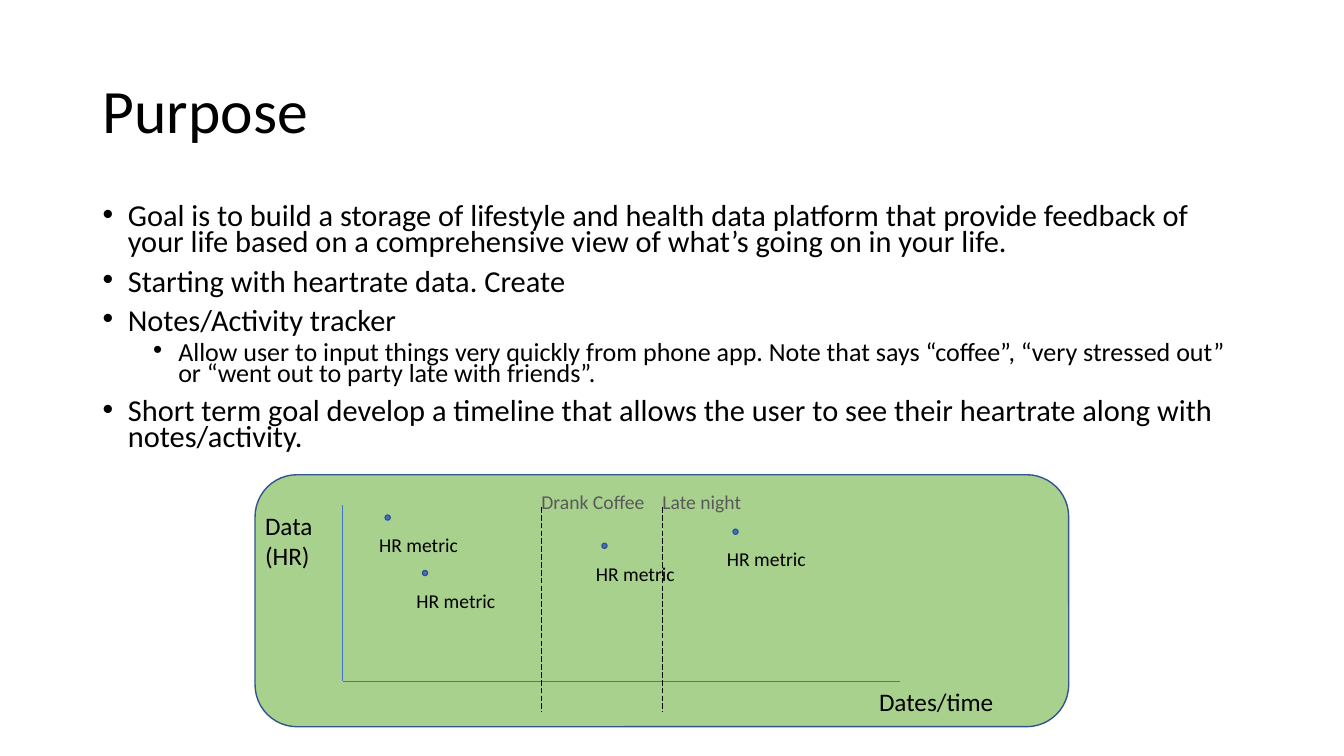
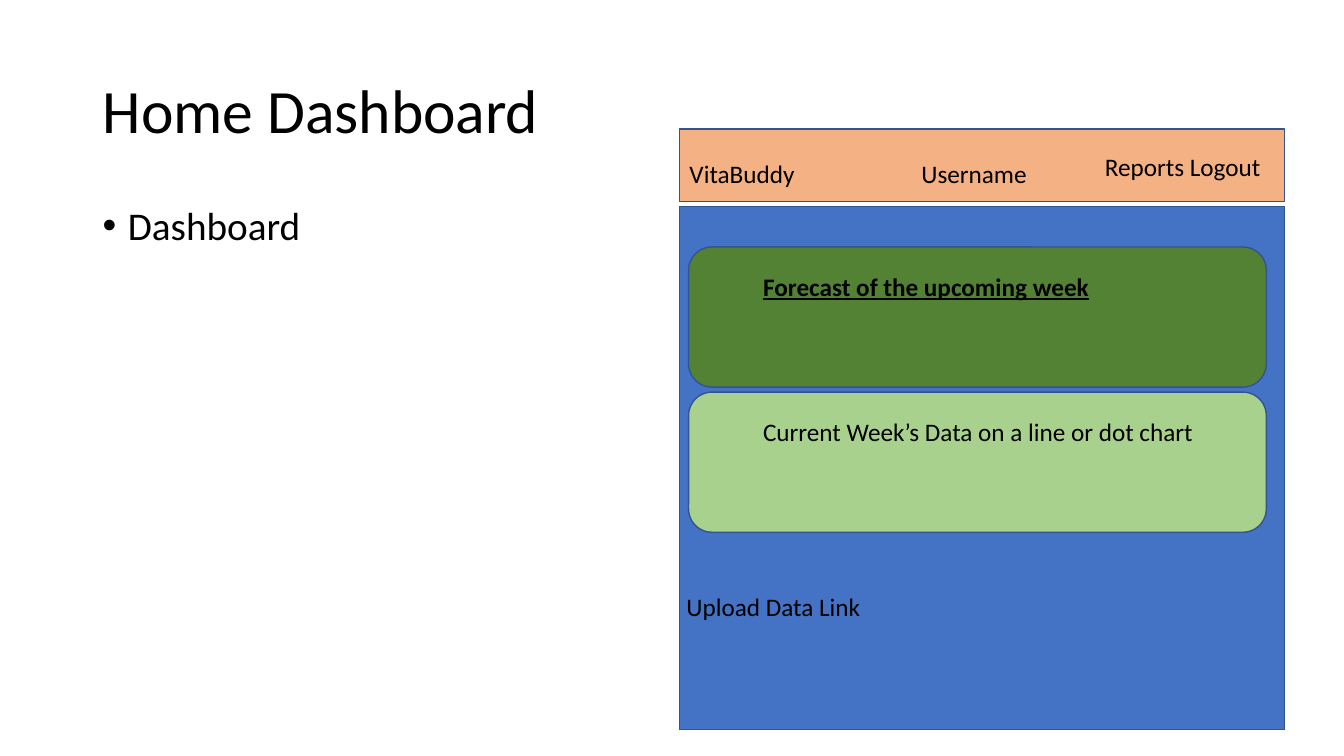
from collections import namedtuple
from dataclasses import dataclass

from lxml import etree
from pptx import Presentation
from pptx.dml.color import RGBColor
from pptx.enum.dml import MSO_LINE
from pptx.enum.shapes import MSO_CONNECTOR, MSO_SHAPE
from pptx.enum.text import MSO_ANCHOR, MSO_AUTO_SIZE, PP_ALIGN
from pptx.oxml.ns import qn
from pptx.util import Inches, Pt

RECTANGLE = MSO_SHAPE.RECTANGLE
ROUNDED = MSO_SHAPE.ROUNDED_RECTANGLE
OVAL = MSO_SHAPE.OVAL
STRAIGHT = MSO_CONNECTOR.STRAIGHT
LONG_DASH = MSO_LINE.LONG_DASH
MIDDLE = MSO_ANCHOR.MIDDLE
TOP = MSO_ANCHOR.TOP
LEFT = PP_ALIGN.LEFT
FIT_SHAPE = MSO_AUTO_SIZE.SHAPE_TO_FIT_TEXT
NO_FIT = MSO_AUTO_SIZE.NONE


@dataclass(frozen=True)
class Theme:
    font: str = "Calibri"
    ink: str = "000000"
    muted: str = "595959"
    blue: str = "4472C4"
    outline: str = "325491"
    orange: str = "F4B183"
    dark_green: str = "548235"
    light_green: str = "A9D18E"
    title_size: float = 44
    bullet_size: float = 28
    label_size: float = 18
    small_size: float = 14
    outline_width: float = 1
    thin_width: float = 0.5


THEME = Theme()
Box = namedtuple("Box", "left top width height")
Bullet = namedtuple("Bullet", "text level size", defaults=(0, THEME.bullet_size))

TITLE_BOX = Box(0.92, 0.4, 11.5, 1.45)
CARD_FORMATS = (
    ("Forecast of the upcoming week", THEME.dark_green, 4.43, {"bold": True, "underline": True}),
    ("Current Week’s Data on a line or dot chart", THEME.light_green, 4.73, {}),
)


def apply_format(target, values):
    for name, value in values.items():
        setattr(target, name, value)


def inside(box, left, top, width, height):
    return Box(box.left + left, box.top + top, width, height)


def to_lengths(box):
    return [Inches(value) for value in box]


def add_span(para, text, size, color=THEME.ink, **extra):
    span = para.add_run()
    span.text = text
    apply_format(span.font, {"name": THEME.font, "size": Pt(size), **extra})
    span.font.color.rgb = RGBColor.from_string(color)


def add_frame(page, box, **frame_format):
    frame = page.shapes.add_textbox(*to_lengths(box)).text_frame
    apply_format(frame, {"word_wrap": True, "auto_size": NO_FIT, "vertical_anchor": TOP, **frame_format})
    return frame


def add_label(page, box, text, **extra):
    frame = add_frame(page, box, auto_size=FIT_SHAPE)
    add_span(frame.paragraphs[0], text, THEME.label_size, **extra)


def add_small_label(page, box, text, color=THEME.ink):
    margins = {f"margin_{side}": 0 for side in ("left", "top", "right", "bottom")}
    frame = add_frame(page, box, auto_size=FIT_SHAPE, **margins)
    add_span(frame.paragraphs[0], text, THEME.small_size, color)


def add_panel(page, kind, box, fill):
    panel = page.shapes.add_shape(kind, *to_lengths(box))
    panel.shadow.inherit = False
    panel.fill.solid()
    panel.fill.fore_color.rgb = RGBColor.from_string(fill)
    panel.line.color.rgb = RGBColor.from_string(THEME.outline)
    panel.line.width = Pt(THEME.outline_width)


def add_line(page, box, color, dash=None):
    line = page.shapes.add_connector(
        STRAIGHT,
        Inches(box.left),
        Inches(box.top),
        Inches(box.left + box.width),
        Inches(box.top + box.height),
    )
    line.line.color.rgb = RGBColor.from_string(color)
    apply_format(line.line, {"width": Pt(THEME.thin_width), "dash_style": dash})
    etree.SubElement(line._element.spPr, qn("a:effectLst"))


def add_title(page, box, text):
    para = add_frame(page, box, vertical_anchor=MIDDLE).paragraphs[0]
    para.line_spacing = 0.9
    add_span(para, text, THEME.title_size)


def add_bullets(page, box, bullets, line_spacing):
    frame = add_frame(page, box)
    for index, bullet in enumerate(bullets):
        para = frame.add_paragraph() if index else frame.paragraphs[0]
        apply_format(para, {
            "level": bullet.level,
            "alignment": LEFT,
            "line_spacing": line_spacing,
            "space_before": Pt(5 if bullet.level else 10),
        })
        add_span(para, bullet.text, bullet.size)
        properties = para._p.get_or_add_pPr()
        properties.set("marL", str(Inches(0.25 + 0.5 * bullet.level)))
        properties.set("indent", str(Inches(-0.25)))
        etree.SubElement(properties, qn("a:buFont")).set("typeface", "Arial")
        etree.SubElement(properties, qn("a:buChar")).set("char", "•")


def add_metric(page, box):
    add_panel(page, OVAL, box, THEME.blue)
    add_small_label(page, inside(box, -0.06, 0.18, 0.9, 0.24), "HR metric")


def add_timeline(page, box):
    add_panel(page, ROUNDED, box, THEME.light_green)
    add_line(page, inside(box, 0.87, 0.3, 0, 1.75), THEME.blue)
    add_line(page, inside(box, 0.87, 2.05, 5.53, 0), THEME.blue)
    add_label(page, inside(box, 6.09, 2.05, 1.37, 0.4), "Dates/time")
    add_label(page, inside(box, 0, 0.3, 0.82, 0.71), "Data (HR)")
    for left, top in ((1.29, 0.4), (1.66, 0.95), (3.44, 0.68), (4.74, 0.54)):
        add_metric(page, inside(box, left, top, 0.05, 0.05))
    for left, activity in ((2.84, "Drank Coffee"), (4.04, "Late night")):
        add_line(page, inside(box, left, 0.32, 0, 2.03), THEME.ink, LONG_DASH)
        add_small_label(page, inside(box, left, 0.15, 1.16, 0.24), activity, THEME.muted)


def add_dashboard(page, box):
    header_height, gap = 0.72, 0.05
    body_top = header_height + gap
    add_panel(page, RECTANGLE, inside(box, 0, body_top, box.width, box.height - body_top), THEME.blue)
    add_panel(page, RECTANGLE, inside(box, 0, 0, box.width, header_height), THEME.orange)
    for left, top, width, text in (
        (0, 0.24, 1.4, "VitaBuddy"),
        (4.12, 0.17, 1.88, "Reports Logout"),
        (2.3, 0.24, 1.4, "Username"),
        (-0.03, 4.54, 3.22, "Upload Data Link"),
    ):
        add_label(page, inside(box, left, top, width, 0.4), text)
    card_height = 1.39
    for index, (text, fill, width, extra) in enumerate(CARD_FORMATS):
        card = inside(box, 0.09, 1.17 + index * (card_height + gap), 5.73, card_height)
        add_panel(page, ROUNDED, card, fill)
        add_label(page, inside(card, 0.64, 0.19, width, 0.4), text, **extra)


def build_purpose(page):
    add_title(page, TITLE_BOX, "Purpose")
    add_bullets(page, Box(0.92, 2, 11.5, 2.86), (
        Bullet("Goal is to build a storage of lifestyle and health data platform that provide feedback of "
               "your life based on a comprehensive view of what’s going on in your life.", 0, 21.7),
        Bullet("Starting with heartrate data. Create", 0, 21.7),
        Bullet("Notes/Activity tracker", 0, 21.7),
        Bullet("Allow user to input things very quickly from phone app. Note that says “coffee”, "
               "“very stressed out” or “went out to party late with friends”.", 1, 18.6),
        Bullet("Short term goal develop a timeline that allows the user to see their heartrate along with "
               "notes/activity.", 0, 21.7),
    ), 0.7)
    add_timeline(page, Box(2.53, 4.71, 8.07, 2.5))


def build_home(page):
    add_title(page, TITLE_BOX, "Home Dashboard")
    add_bullets(page, Box(0.92, 2, 3.99, 4.76), (Bullet("Dashboard"),), 0.9)
    add_dashboard(page, Box(6.74, 1.28, 6, 5.96))


def main():
    deck = Presentation()
    apply_format(deck, {"slide_width": Inches(13.33), "slide_height": Inches(7.5)})
    blank = deck.slide_layouts[6]
    for build in (build_purpose, build_home):
        build(deck.slides.add_slide(blank))
    deck.save("out.pptx")


if __name__ == "__main__":
    main()
